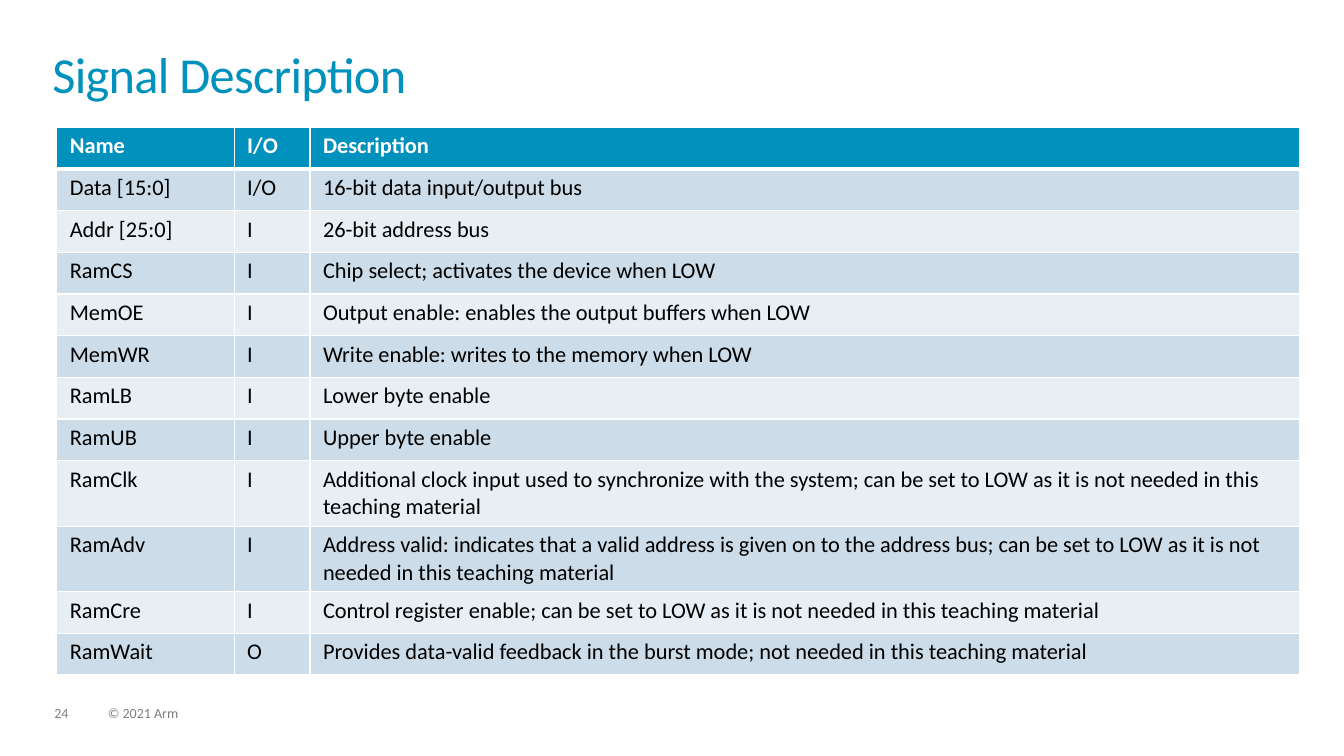
"""Build the signal description slide with its table of memory signals."""
from dataclasses import dataclass

from lxml import etree
from pptx import Presentation
from pptx import util as u
from pptx.dml import color
from pptx.oxml import ns


@dataclass(frozen=True)
class Theme:
    font: str = "Calibri"
    accent: str = "0091BD"
    white: str = "FFFFFF"
    black: str = "000000"
    grey: str = "7F7F7F"
    bands: tuple = ("CCDCE8", "E7EEF4")
    title_size: int = 36
    table_size: int = 16
    footer_size: int = 10


theme = Theme()


def write(frame, content, size, ink, bold=False, line=None, after=None, spacing=None):
    frame.word_wrap = True
    paragraph = frame.paragraphs[0]
    paragraph.line_spacing = line
    if after is not None:
        paragraph.space_after = u.Pt(after)
    run = paragraph.add_run()
    run.text = content
    run.font.name = theme.font
    run.font.size = u.Pt(size)
    run.font.bold = bold
    run.font.color.rgb = color.RGBColor.from_string(ink)
    if spacing is not None:
        run.font._element.set("spc", str(int(spacing * 100)))


def add_edge(cell, side, points):
    edge = etree.SubElement(cell._tc.get_or_add_tcPr(), ns.qn(f"a:ln{side}"), w=str(u.Pt(points)))
    fill = etree.SubElement(edge, ns.qn("a:solidFill"))
    etree.SubElement(fill, ns.qn("a:srgbClr"), val=theme.white)


deck = Presentation()
deck.slide_width, deck.slide_height = u.Cm(33.87), u.Cm(19.05)
slide = deck.slides.add_slide(deck.slide_layouts[6])

title_format = dict(size=theme.title_size, ink=theme.accent, line=0.85, spacing=-0.5)
footer_format = dict(size=theme.footer_size, ink=theme.grey, line=0.9, after=6)
labels = [
    ("24", (1.37, 17.81, 0.86, 0.38), footer_format),
    ("© 2021 Arm", (2.72, 17.81, 12.88, 0.38), footer_format),
    ("Signal Description", (1.32, 1.32, 31.19, 1.83), title_format),
]
for content, place, style in labels:
    label = slide.shapes.add_textbox(*map(u.Cm, place)).text_frame
    label.margin_left = label.margin_top = label.margin_right = label.margin_bottom = 0
    write(label, content, **style)

signals = [
    ("Name", "I/O", "Description"),
    ("Data [15:0]", "I/O", "16-bit data input/output bus"),
    ("Addr [25:0]", "I", "26-bit address bus"),
    ("RamCS", "I", "Chip select; activates the device when LOW"),
    ("MemOE", "I", "Output enable: enables the output buffers when LOW"),
    ("MemWR", "I", "Write enable: writes to the memory when LOW"),
    ("RamLB", "I", "Lower byte enable"),
    ("RamUB", "I", "Upper byte enable"),
    ("RamClk", "I", "Additional clock input used to synchronize with the system; "
     "can be set to LOW as it is not needed in this teaching material"),
    ("RamAdv", "I", "Address valid: indicates that a valid address is given on to the address bus; "
     "can be set to LOW as it is not needed in this teaching material"),
    ("RamCre", "I", "Control register enable; can be set to LOW as it is not needed in this teaching material"),
    ("RamWait", "O", "Provides data-valid feedback in the burst mode; not needed in this teaching material"),
]
column_widths = (4.47, 1.91, 24.94)
single_height, double_height = 1.05, 1.65
two_line_signals = ("RamClk", "RamAdv")

signal_table = slide.shapes.add_table(
    len(signals), len(column_widths), u.Cm(1.43), u.Cm(3.21), u.Cm(sum(column_widths)), u.Cm(13.8)).table
for column, width in zip(signal_table.columns, column_widths):
    column.width = u.Cm(width)

for index, signal in enumerate(signals):
    heading = index == 0
    row = signal_table.rows[index]
    row.height = u.Cm(double_height if signal[0] in two_line_signals else single_height)
    background = theme.accent if heading else theme.bands[(index - 1) % 2]
    for cell, content in zip(row.cells, signal):
        cell.margin_left = cell.margin_right = u.Cm(0.33)
        cell.margin_top = cell.margin_bottom = u.Cm(0.13)
        for side, points in (("L", 1), ("R", 1), ("T", 3 if index == 1 else 1), ("B", 3 if heading else 1)):
            add_edge(cell, side, points)
        cell.fill.solid()
        cell.fill.fore_color.rgb = color.RGBColor.from_string(background)
        write(cell.text_frame, content, theme.table_size, theme.white if heading else theme.black, bold=heading)

deck.save("out.pptx")
